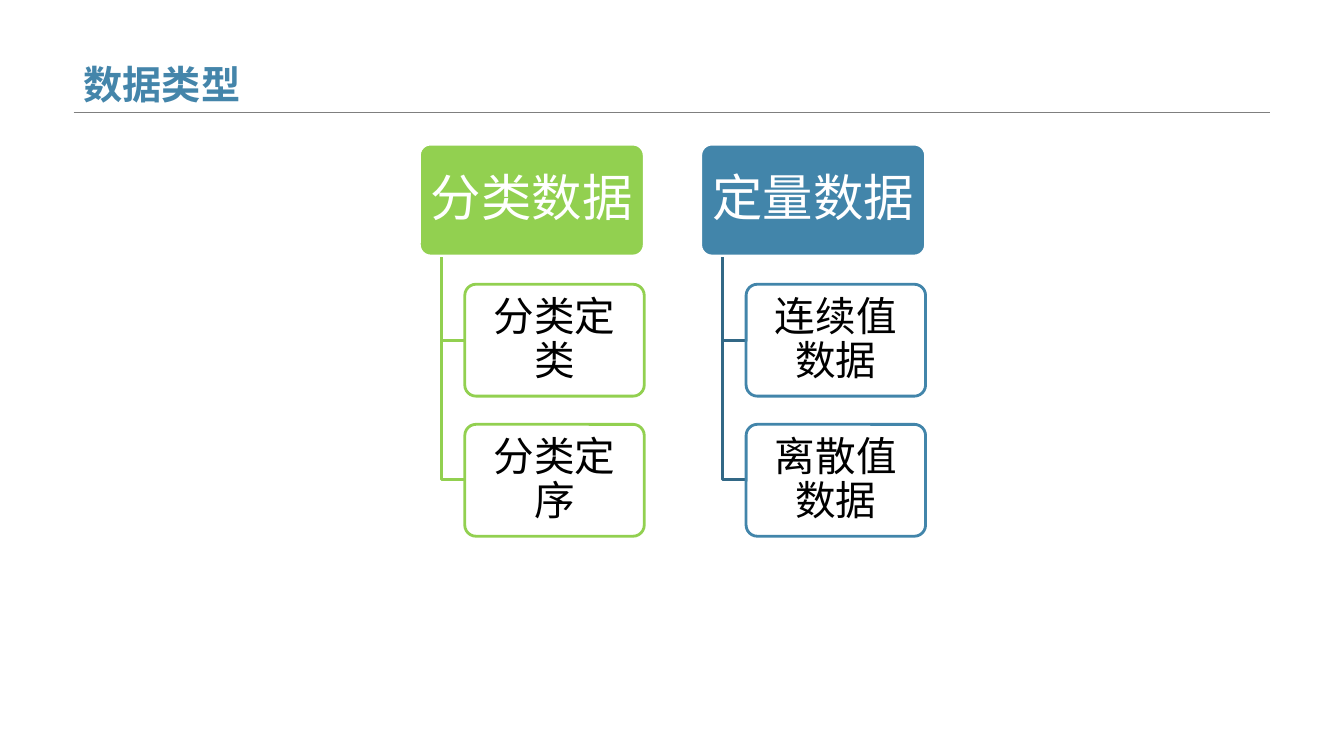
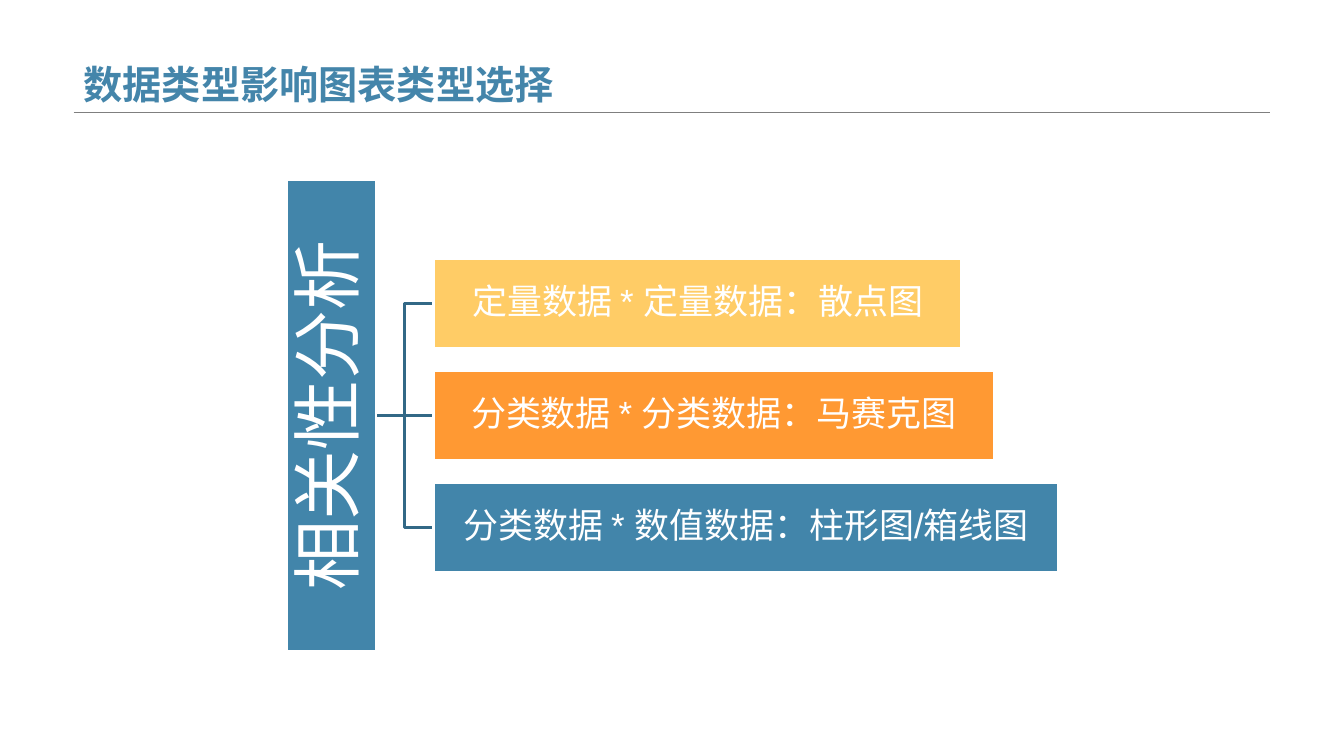
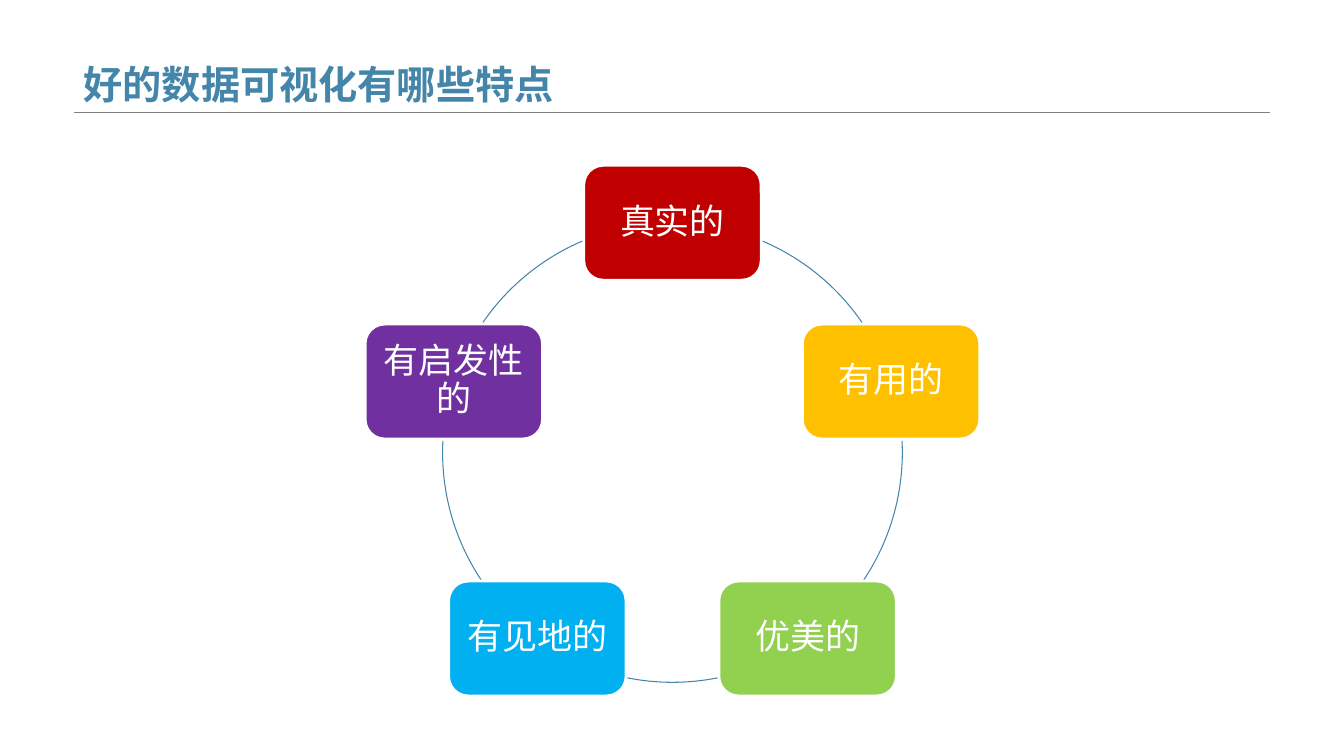
"""Build three slides on data types, chart choice and good visualisation."""
from dataclasses import dataclass
from math import cos, radians, sin

from pptx import Presentation
from pptx.dml.color import RGBColor
from pptx.enum.shapes import MSO_CONNECTOR, MSO_SHAPE
from pptx.enum.text import MSO_ANCHOR, MSO_AUTO_SIZE, PP_ALIGN
from pptx.oxml.xmlchemy import OxmlElement
from pptx.util import Pt

RECT, ROUNDED, ARC = MSO_SHAPE.RECTANGLE, MSO_SHAPE.ROUNDED_RECTANGLE, MSO_SHAPE.ARC
STRAIGHT, ELBOW = MSO_CONNECTOR.STRAIGHT, MSO_CONNECTOR.ELBOW
MIDDLE, BOTTOM = MSO_ANCHOR.MIDDLE, MSO_ANCHOR.BOTTOM
LEFT, CENTER = PP_ALIGN.LEFT, PP_ALIGN.CENTER
NO_AUTOFIT = MSO_AUTO_SIZE.NONE
LEFT_SIDE, RIGHT_SIDE = 1, 3
TITLE_ONLY = 5
PX = 9144


@dataclass(frozen=True)
class Theme:
    """Colours, font and type sizes shared by the slides."""
    font: str = "Arial"
    title: str = "4485AA"
    rule: str = "7F7F7F"
    white: str = "FFFFFF"
    black: str = "000000"
    blue: str = "4285AA"
    navy: str = "326886"
    green: str = "92D050"
    yellow: str = "FFCC66"
    orange: str = "FF9933"
    red: str = "C00000"
    gold: str = "FFC000"
    sky: str = "00B0F0"
    purple: str = "7030A0"
    title_size: int = 28
    family_size: int = 36
    kind_size: int = 29
    topic_size: int = 50
    body_size: int = 25
    thin: float = 0.75
    thick: int = 2


THEME = Theme()
SLIDE_SIZE = (1333, 750)
TITLE_BOX = (73, 0, 1187, 112)

FAMILIES_TITLE = "数据类型"
FAMILIES = [
    ("分类数据", THEME.green, THEME.green, ["分类定类", "分类定序"]),
    ("定量数据", THEME.blue, THEME.navy, ["连续值数据", "离散值数据"]),
]

CHARTS_TITLE = "数据类型影响图表类型选择"
TOPIC = "相关性分析"
CHARTS = [
    ("定量数据 * 定量数据：散点图", THEME.yellow, 524),
    ("分类数据 * 分类数据：马赛克图", THEME.orange, 556),
    ("分类数据 * 数值数据：柱形图/箱线图", THEME.blue, 620),
]

TRAITS_TITLE = "好的数据可视化有哪些特点"
TRAITS = [
    ("真实的", THEME.red),
    ("有用的", THEME.gold),
    ("优美的", THEME.green),
    ("有见地的", THEME.sky),
    ("有启发性的", THEME.purple),
]
RING_ARCS = [(22.9, 55.6), (87.1, 123.7), (168.6, 191.4), (236.3, 272.9), (304.4, 337.1)]


def px(*lengths):
    return [round(length * PX) for length in lengths]


def rgb(code):
    return RGBColor.from_string(code)


def set_line(part, color, width):
    part.line.color.rgb = rgb(color)
    part.line.width = Pt(width)


def write(frame, text, size, color, insets, align=CENTER, anchor=MIDDLE, spacing=0.9, bold=False):
    frame.word_wrap = True
    frame.auto_size = NO_AUTOFIT
    frame.vertical_anchor = anchor
    frame.margin_left, frame.margin_top = px(*insets)
    frame.margin_right, frame.margin_bottom = px(*insets)
    paragraph = frame.paragraphs[0]
    paragraph.alignment = align
    paragraph.line_spacing = spacing
    run = paragraph.add_run()
    run.text = text
    run.font.name = THEME.font
    run.font.size = Pt(size)
    run.font.bold = bold
    run.font.color.rgb = rgb(color)


def add_box(slide, kind, box, fill, text, size, insets, corner=None, edge=THEME.white, ink=THEME.white):
    shape = slide.shapes.add_shape(kind, *px(*box))
    shape.shadow.inherit = False
    shape.fill.solid()
    shape.fill.fore_color.rgb = rgb(fill)
    set_line(shape, edge, THEME.thick)
    if corner:
        shape.adjustments[0] = corner
    write(shape.text_frame, text, size, ink, insets)
    return shape


def add_link(slide, kind, ends, color, width):
    link = slide.shapes.add_connector(kind, *px(*ends))
    set_line(link, color, width)
    link.element.spPr.append(OxmlElement("a:effectLst"))
    return link


def add_titled_slide(deck, title):
    slide = deck.slides.add_slide(deck.slide_layouts[TITLE_ONLY])
    heading = slide.shapes.title
    heading.left, heading.top, heading.width, heading.height = px(*TITLE_BOX)
    write(heading.text_frame, title, THEME.title_size, THEME.title, (10, 5),
          LEFT, BOTTOM, 1.5, True)
    return slide


def put_rule_on_layout(slide):
    left, top, width, height = TITLE_BOX
    base = top + height
    rule = add_link(slide, STRAIGHT, (left, base, left + width, base), THEME.rule, THEME.thin)
    slide.slide_layout.shapes.element.append(rule.element)


def draw_families(slide):
    left, top, width, height = 416, 143, 223, 111
    column_pitch, row_pitch, stem_inset, kind_inset = 279, 139, 22, 45
    for column, (family, fill, stem, kinds) in enumerate(FAMILIES):
        x = left + column * column_pitch
        add_box(slide, ROUNDED, (x, top, width, height), fill, family,
                THEME.family_size, (7, 5), 0.1)
        for row, kind in enumerate(kinds, 1):
            y = top + row * row_pitch
            center = y + height / 2
            outline = slide.shapes.build_freeform(x + stem_inset, top + height + 1, PX)
            outline.add_line_segments(
                [(x + stem_inset, center), (x + kind_inset, center)], close=False)
            branch = outline.convert_to_shape()
            branch.shadow.inherit = False
            branch.fill.background()
            set_line(branch, stem, THEME.thick)
            add_box(slide, ROUNDED, (x + kind_inset, y, width - kind_inset, height),
                    THEME.white, kind, THEME.kind_size, (6, 4), 0.1, fill, THEME.black)


def draw_charts(slide):
    center, thickness, pitch = 412, 89, 111
    topic_left, topic_length, chart_left = 284, 468, 430
    topic = add_box(slide, RECT, (topic_left, center - topic_length / 2, thickness, topic_length),
                    THEME.blue, TOPIC, THEME.topic_size, (3, 3))
    topic.element.txBody.bodyPr.set("vert", "vert270")
    for row, (text, fill, width) in enumerate(CHARTS):
        offset = (row - len(CHARTS) // 2) * pitch
        middle = center + offset
        chart = add_box(slide, RECT, (chart_left, middle - thickness / 2, width, thickness),
                        fill, text, THEME.body_size, (2, 2))
        link = add_link(slide, ELBOW if offset else STRAIGHT,
                        (topic_left + thickness, center, chart_left, middle),
                        THEME.navy, THEME.thick)
        link.begin_connect(topic, RIGHT_SIDE)
        link.end_connect(chart, LEFT_SIDE)
        topic.element.addprevious(link.element)


def draw_traits(slide):
    center_x, center_y, radius = 667, 449, 228
    width, height = 176, 114
    for start, end in RING_ARCS:
        arc = slide.shapes.add_shape(
            ARC, *px(center_x - radius, center_y - radius, 2 * radius, 2 * radius))
        arc.shadow.inherit = False
        arc.fill.background()
        set_line(arc, THEME.blue, THEME.thin)
        for index, bearing in enumerate((start, end)):
            arc.adjustments[index] = (bearing - 90) % 360 * 0.6
    for index, (trait, fill) in enumerate(TRAITS):
        bearing = radians(index * 360 / len(TRAITS))
        x = center_x + radius * sin(bearing) - width / 2
        y = center_y - radius * cos(bearing) - height / 2
        add_box(slide, ROUNDED, (x, y, width, height), fill, trait,
                THEME.body_size, (10, 10), 0.17)


def main():
    deck = Presentation()
    deck.slide_width, deck.slide_height = px(*SLIDE_SIZE)
    families = add_titled_slide(deck, FAMILIES_TITLE)
    put_rule_on_layout(families)
    draw_families(families)
    draw_charts(add_titled_slide(deck, CHARTS_TITLE))
    draw_traits(add_titled_slide(deck, TRAITS_TITLE))
    deck.save("out.pptx")


if __name__ == "__main__":
    main()
